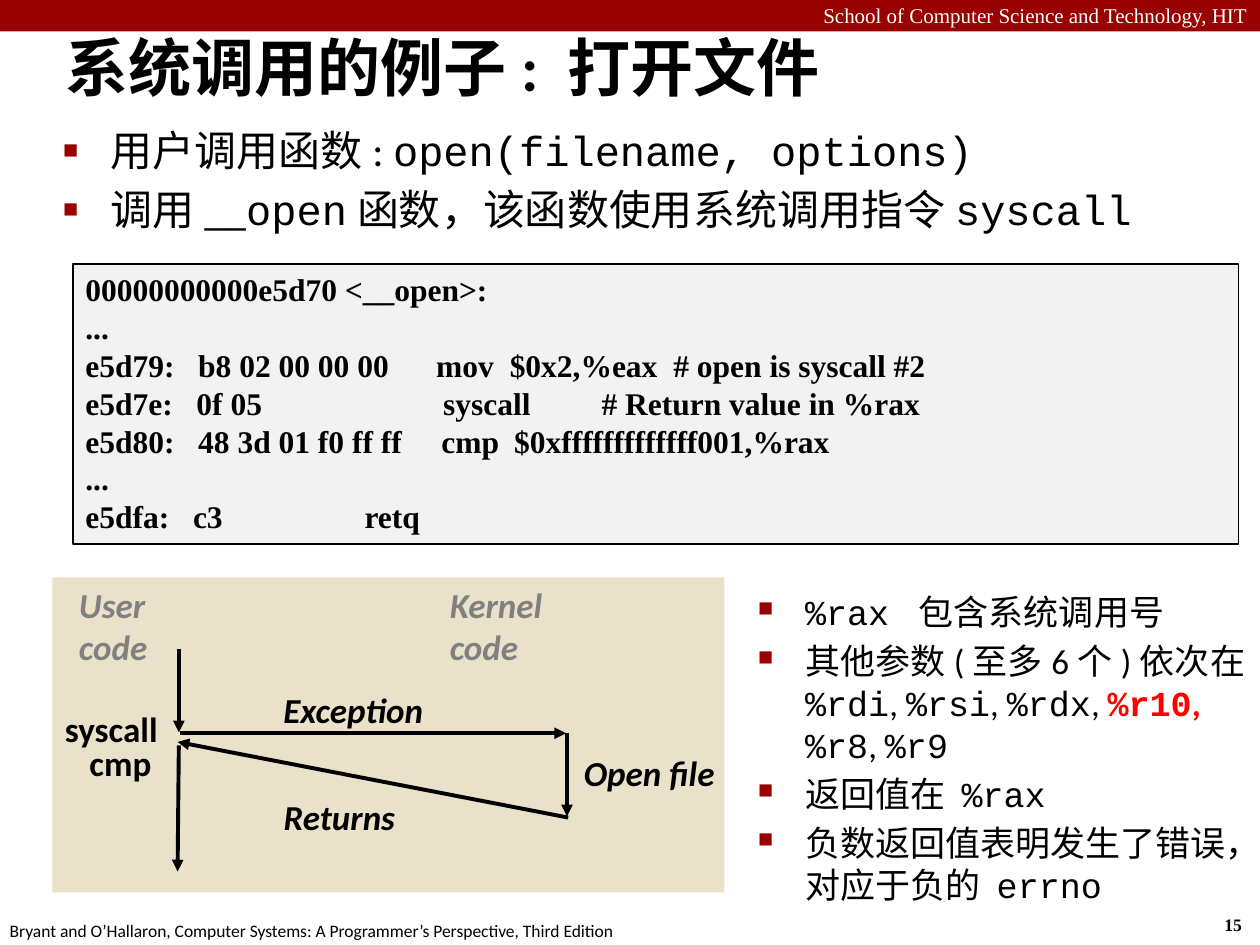
from pptx import Presentation
from pptx.dml.color import RGBColor
from pptx.enum.shapes import MSO_CONNECTOR, MSO_SHAPE
from pptx.enum.text import MSO_ANCHOR, MSO_AUTO_SIZE, PP_ALIGN
from pptx.oxml.ns import qn
from pptx.util import Pt
from lxml import etree

LEFT, RIGHT = PP_ALIGN.LEFT, PP_ALIGN.RIGHT
TOP, MIDDLE = MSO_ANCHOR.TOP, MSO_ANCHOR.MIDDLE
RECTANGLE, STRAIGHT = MSO_SHAPE.RECTANGLE, MSO_CONNECTOR.STRAIGHT

SANS, SERIF, MONO = "Calibri", "Times New Roman", "Courier New"
BLACK, WHITE, GRAY, RED = "000000", "FFFFFF", "808080", "FF0000"
MAROON, SAND, PALE = "990000", "E9E1C9", "F2F2F2"
BULLET_INDENT = 27

TITLE = "系统调用的例子: 打开文件"

# Each bullet is a list of (text, font) runs.
CALL_BULLETS = [
    [("用户调用函数: ", SANS), ("open(filename, options)", MONO)],
    [("调用__", SANS), ("open函数，该函数使用系统调用指令syscall", MONO)],
]
COMMA = (", ", SANS)
REGISTER_BULLETS = [
    [("%rax 包含系统调用号", MONO)],
    [("其他参数(至多6个)依次在 ", SANS), ("%rdi", MONO), COMMA, ("%rsi", MONO), COMMA,
     ("%rdx", MONO), COMMA, ("%r10", MONO, RED), (", ", SANS, RED),
     ("%r8", MONO), COMMA, ("%r9", MONO)],
    [("返回值在 ", SANS), ("%rax", MONO)],
    [("负数返回值表明发生了错误，对应于负的 ", SANS), ("errno", MONO)],
]

# Each code line: its columns, then the tab stops of all columns but the first.
CODE = [
    (["00000000000e5d70 <__open>:"], []),
    (["..."], []),
    (["e5d79:", "b8 02 00 00 00", "mov", "$0x2,%eax", "# open is syscall #2"],
     [64.5, 200.5, 242.5, 336]),
    (["e5d7e:", "0f 05", "syscall", "# Return value in %rax"], [63.5, 204.5, 295]),
    (["e5d80:", "48 3d 01 f0 ff ff", "cmp", "$0xfffffffffffff001,%rax"],
     [64.5, 203.5, 245]),
    (["..."], []),
    (["e5dfa:", "c3", "retq"], [61.5, 159.5]),
]

# text, box, size, font, colour, bold, italic, alignment, wrap
TEXTS = [
    ("School of Computer Science and Technology, HIT", (0, -2, 720, 21.6),
     12, SERIF, WHITE, False, False, RIGHT, True),
    ("15", (692.6, 519, 26.6, 19.4), 10, SERIF, BLACK, True, False, LEFT, False),
    ("Bryant and O’Hallaron, Computer Systems: A Programmer’s Perspective, Third Edition",
     (-1.5, 522, 366, 19.4), 10, SANS, BLACK, False, False, LEFT, False),
]
# text, box, colour, italic
DIAGRAM_LABELS = [
    ("User code", (38, 330, 95, 31), GRAY, True),
    ("Kernel code", (250, 330, 109, 31), GRAY, True),
    ("Exception", (154.8, 390, 109, 31), BLACK, True),
    ("Open file", (326.5, 426, 96, 31), BLACK, True),
    ("Returns", (155, 451, 92, 31), BLACK, True),
    ("syscall", (30, 400.5, 91, 31.5), BLACK, False),
    ("cmp", (44, 420, 70, 31.5), BLACK, False),
]
TEXTS += [(text, box, 20, SANS, color, True, italic, LEFT, True)
          for text, box, color, italic in DIAGRAM_LABELS]

ARROWS = [
    (102.2, 371, 102.2, 418.5),
    (103, 419, 323.5, 419),
    (324, 419, 324, 466.5),
    (324.7, 467.2, 101.5, 424),
    (102.2, 426, 101.5, 498),
]


def rgb(color):
    return RGBColor.from_string(color)


def points(values):
    return [Pt(value) for value in values]


def style(run, size, font, color, bold=False, italic=False):
    run.font.size = Pt(size)
    run.font.name = font
    run.font.color.rgb = rgb(color)
    run.font.bold = bold
    run.font.italic = italic


def place(shape, box):
    shape.left, shape.top, shape.width, shape.height = points(box)


def add_rectangle(slide, box, color):
    shape = slide.shapes.add_shape(RECTANGLE, *points(box))
    shape.shadow.inherit = False
    shape.fill.solid()
    shape.fill.fore_color.rgb = rgb(color)
    shape.line.fill.background()
    return shape


def add_text(slide, text, box, size, font, color, bold, italic, alignment, wrap):
    frame = slide.shapes.add_textbox(*points(box)).text_frame
    frame.word_wrap = wrap
    frame.text = text
    paragraph = frame.paragraphs[0]
    paragraph.alignment = alignment
    style(paragraph.runs[0], size, font, color, bold, italic)


def add_arrow(slide, start_x, start_y, end_x, end_y):
    arrow = slide.shapes.add_connector(STRAIGHT, *points((start_x, start_y, end_x, end_y)))
    arrow.line.color.rgb = rgb(BLACK)
    arrow.line.width = Pt(2.25)
    etree.SubElement(arrow.line._get_or_add_ln(), qn("a:tailEnd"), type="triangle")
    etree.SubElement(arrow._element.spPr, qn("a:effectLst"))


def fill_paragraphs(frame, items):
    """Yield one empty paragraph of the frame with each item."""
    frame.word_wrap = True
    frame.auto_size = MSO_AUTO_SIZE.NONE
    frame.vertical_anchor = TOP
    for index, item in enumerate(items):
        paragraph = frame.add_paragraph() if index else frame.paragraphs[0]
        paragraph.alignment = LEFT
        yield paragraph, item


def fill_bullets(frame, bullets, size):
    for paragraph, runs in fill_paragraphs(frame, bullets):
        paragraph.space_before = Pt(size * 0.2)
        properties = paragraph._p.get_or_add_pPr()
        properties.set("marL", str(Pt(BULLET_INDENT)))
        properties.set("indent", str(-Pt(BULLET_INDENT)))
        bullet_color = etree.SubElement(properties, qn("a:buClr"))
        etree.SubElement(bullet_color, qn("a:srgbClr"), val=MAROON)
        etree.SubElement(properties, qn("a:buSzPct"), val="60000")
        etree.SubElement(properties, qn("a:buChar"), char="■")
        for text, font, *color in runs:
            run = paragraph.add_run()
            run.text = text
            style(run, size, font, color[0] if color else BLACK, bold=bool(color))


def fill_code(frame, lines):
    for paragraph, (columns, stops) in fill_paragraphs(frame, lines):
        run = paragraph.add_run()
        run.text = "\t".join(columns)
        style(run, 18, SERIF, BLACK, bold=True)
        if stops:
            tabs = etree.SubElement(paragraph._p.get_or_add_pPr(), qn("a:tabLst"))
            for stop in stops:
                etree.SubElement(tabs, qn("a:tab"), pos=str(Pt(stop)), algn="l")


def main():
    presentation = Presentation()
    presentation.slide_width, presentation.slide_height = Pt(720), Pt(540)
    slide = presentation.slides.add_slide(presentation.slide_layouts[1])

    add_rectangle(slide, (0, 0, 720, 18), MAROON)
    add_rectangle(slide, (30, 330, 384, 180), SAND)

    title, body = slide.placeholders
    place(title, (30, 15, 678, 45.5))
    title.text_frame.text = TITLE
    title.text_frame.auto_size = MSO_AUTO_SIZE.NONE
    title.text_frame.vertical_anchor = MIDDLE
    title.text_frame.paragraphs[0].alignment = LEFT
    style(title.text_frame.paragraphs[0].runs[0], 36, SANS, BLACK, bold=True)

    place(body, (28.8, 67.5, 662, 82))
    fill_bullets(body.text_frame, CALL_BULLETS, 24)

    code_box = add_rectangle(slide, (41.7, 151, 666, 160), PALE)
    code_box.line.color.rgb = rgb(BLACK)
    code_box.line.width = Pt(1)
    fill_code(code_box.text_frame, CODE)

    for arrow in ARROWS:
        add_arrow(slide, *arrow)
    for text in TEXTS:
        add_text(slide, *text)

    registers = slide.shapes.add_textbox(*points((426, 334, 295, 200)))
    fill_bullets(registers.text_frame, REGISTER_BULLETS, 20)

    presentation.save("out.pptx")


if __name__ == "__main__":
    main()
